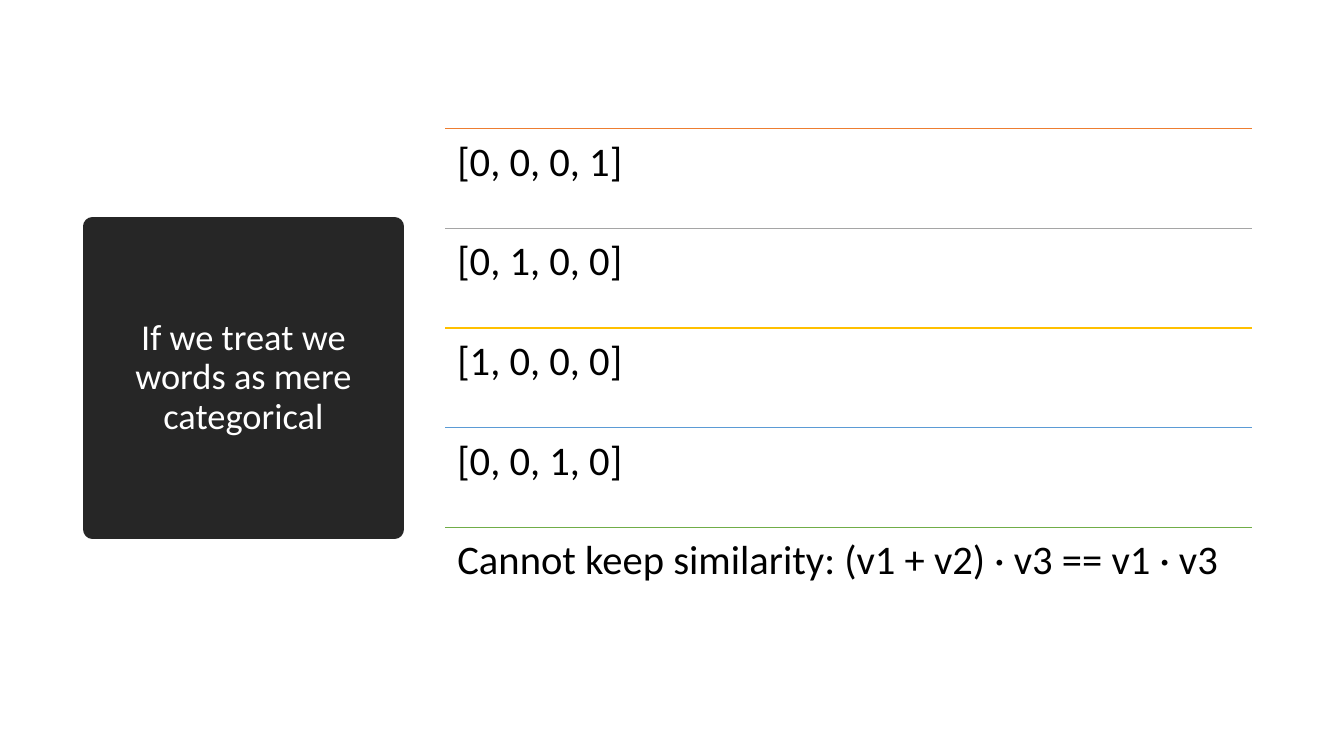
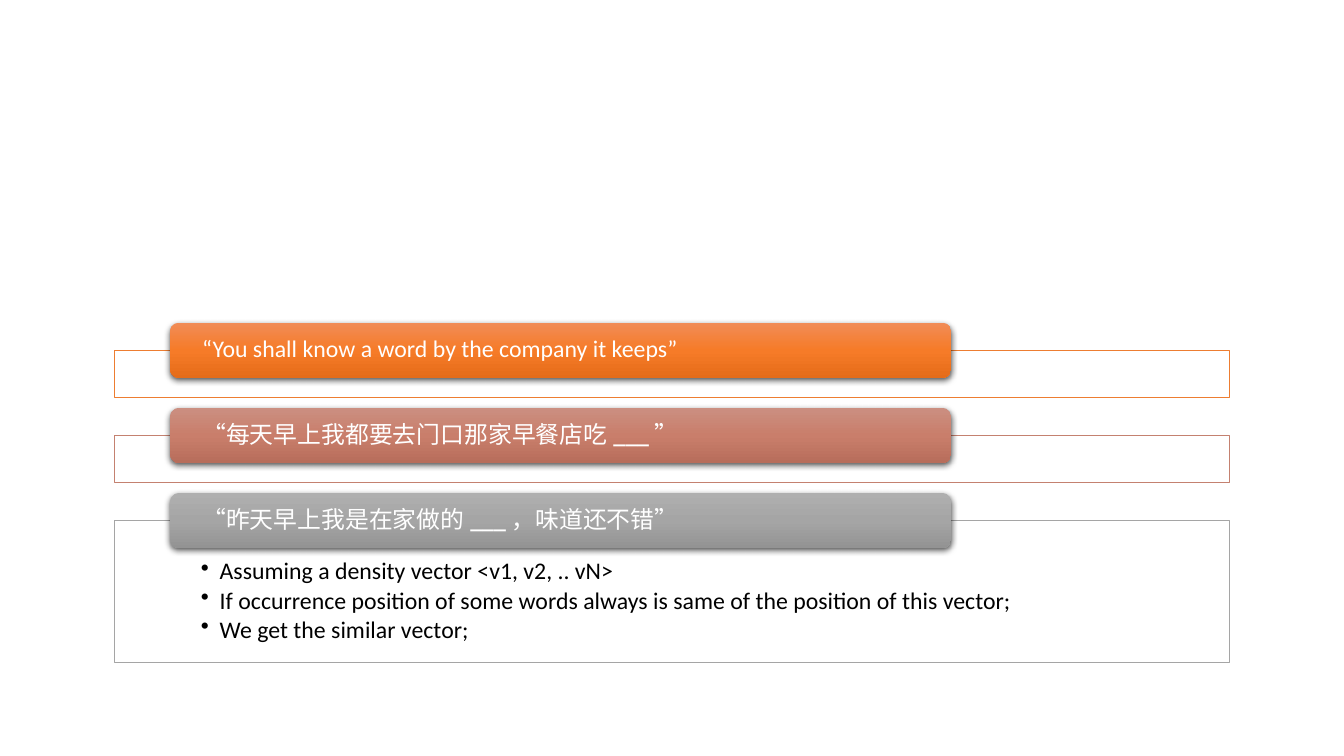
"""Build two slides on word vectors: one-hot categories and distributional similarity."""
from dataclasses import dataclass

from lxml import etree
from pptx import Presentation
from pptx.dml.color import RGBColor
from pptx.enum.shapes import MSO_CONNECTOR, MSO_SHAPE
from pptx.enum.text import MSO_ANCHOR, PP_ALIGN
from pptx.oxml.ns import qn
from pptx.util import Pt

RECTANGLE = MSO_SHAPE.RECTANGLE
ROUNDED = MSO_SHAPE.ROUNDED_RECTANGLE
STRAIGHT = MSO_CONNECTOR.STRAIGHT
TOP, MIDDLE = MSO_ANCHOR.TOP, MSO_ANCHOR.MIDDLE
LEFT, CENTER = PP_ALIGN.LEFT, PP_ALIGN.CENTER


@dataclass(frozen=True)
class Theme:
    font: str = "Calibri"
    white: str = "FFFFFF"
    black: str = "000000"
    panel: str = "262626"
    title_size: int = 26
    row_size: int = 29
    card_size: int = 17
    line_spacing: float = 0.9


THEME = Theme()
BLANK = "___"

TITLE = "If we treat we words as mere categorical"
ROWS = [
    ("[0, 0, 0, 1]", "ED7D31"),
    ("[0, 1, 0, 0]", "A5A5A5"),
    ("[1, 0, 0, 0]", "FFC000"),
    ("[0, 0, 1, 0]", "5B9BD5"),
    ("Cannot keep similarity: (v1 + v2) · v3 == v1 · v3", "70AD47"),
]
CARDS = [
    {
        "quote": ["“You shall know a word by the company it keeps”"],
        "outline": "ED7D31",
        "gradient": ("F18C57", "F67B28", "E56C19"),
        "points": [],
    },
    {
        "quote": ["“每天早上我都要去门口那家早餐店吃", BLANK, "”"],
        "outline": "C48170",
        "gradient": ("CB8F81", "C97E6B", "B76D5B"),
        "points": [],
    },
    {
        "quote": ["“昨天早上我是在家做的", BLANK, "，味道还不错”"],
        "outline": "A5A5A5",
        "gradient": ("AFAFAF", "A5A5A5", "939393"),
        "points": [
            ["Assuming a density vector <v1, v2, .. vN>"],
            ["If occurrence position of some words always is same of the position of this vector;"],
            ["We get the similar vector;"],
        ],
    },
]


def rgb(value):
    return RGBColor.from_string(value)


def add_xml(parent, tag, **attributes):
    return etree.SubElement(parent, qn(tag), attributes)


def write(shape, paragraphs, *, size, color, align=LEFT, anchor=TOP,
          insets=(7.2, 3.6, 7.2, 3.6), space_after=0, bullet=None):
    frame = shape.text_frame
    frame.word_wrap = True
    frame.vertical_anchor = anchor
    (frame.margin_left, frame.margin_top,
     frame.margin_right, frame.margin_bottom) = map(Pt, insets)
    for index, spans in enumerate(paragraphs):
        para = frame.add_paragraph() if index else frame.paragraphs[0]
        para.alignment = align
        para.line_spacing = THEME.line_spacing
        para.space_after = Pt(space_after)
        if bullet:
            para.level = 1
            properties = para._p.get_or_add_pPr()
            properties.set("marL", str(Pt(13.5)))
            properties.set("indent", str(-Pt(13.5)))
            add_xml(properties, "a:buChar", char=bullet)
        for text in spans:
            span = para.add_run()
            span.text = text
            span.font.name = THEME.font
            span.font.size = Pt(size)
            span.font.bold = text == BLANK
            span.font.color.rgb = rgb(color)


def add_box(slide, kind, bounds, *, fill, outline=None, width=0):
    box = slide.shapes.add_shape(kind, *map(Pt, bounds))
    box.shadow.inherit = False
    box.fill.solid()
    box.fill.fore_color.rgb = rgb(fill)
    if outline:
        box.line.color.rgb = rgb(outline)
        box.line.width = Pt(width)
    else:
        box.line.fill.background()
    return box


def add_rule(slide, left, top, width, color):
    rule = slide.shapes.add_connector(
        STRAIGHT, Pt(left), Pt(top), Pt(left + width), Pt(top))
    rule.line.color.rgb = rgb(color)
    rule.line.width = Pt(1)
    add_xml(rule._element.spPr, "a:effectLst")


def shade(box, colors):
    box.fill.gradient()
    box.fill.gradient_angle = 270
    stops = box._element.spPr.find(".//" + qn("a:gsLst"))
    for stop in list(stops):
        stops.remove(stop)
    for index, color in enumerate(colors):
        position = 100000 * index // (len(colors) - 1)
        stop = add_xml(stops, "a:gs", pos=str(position))
        add_xml(stop, "a:srgbClr", val=color)


def cast_shadow(box):
    effects = box._element.spPr.find(qn("a:effectLst"))
    shadow = add_xml(effects, "a:outerShdw", blurRad=str(Pt(4.5)), dist=str(Pt(1.5)),
                     dir="5400000", algn="ctr", rotWithShape="0")
    color = add_xml(shadow, "a:srgbClr", val=THEME.black)
    add_xml(color, "a:alpha", val="63000")


def build_categorical(slide):
    panel = add_box(slide, RECTANGLE, (66, 162, 216, 216),
                    fill=THEME.panel, outline=THEME.panel, width=13.75)
    add_xml(panel._element.spPr.find(qn("a:ln")), "a:round")
    write(panel, [[TITLE]], size=THEME.title_size, color=THEME.white,
          align=CENTER, anchor=MIDDLE)

    left, first_top, width, pitch = 318, 92, 576, 71.2
    for index, (text, color) in enumerate(ROWS):
        top = first_top + index * pitch
        add_rule(slide, left, top, width, color)
        row = slide.shapes.add_textbox(Pt(left), Pt(top), Pt(width), Pt(pitch))
        write(row, [[text]], size=THEME.row_size, color=THEME.black,
              insets=(8.7, 8.7, 8.7, 8.7))


def build_similarity(slide):
    first_top, pitch, overlap = 250, 60.8, 19.6
    for index, card in enumerate(CARDS):
        top = first_top + index * pitch
        height = 101.5 if card["points"] else 33.8
        body = add_box(slide, RECTANGLE, (81.5, top, 797, height),
                       fill=THEME.white, outline=card["outline"], width=0.5)
        if card["points"]:
            write(body, card["points"], size=THEME.card_size, color=THEME.black,
                  insets=(62, 28, 62, 9), space_after=2.5, bullet="•")
        header = add_box(slide, ROUNDED, (121.5, top - overlap, 558, 39.6),
                         fill=card["outline"])
        shade(header, card["gradient"])
        cast_shadow(header)
        write(header, [card["quote"]], size=THEME.card_size, color=THEME.white,
              anchor=MIDDLE, insets=(21, 0, 21, 0))


def main():
    deck = Presentation()
    deck.slide_width, deck.slide_height = Pt(960), Pt(540)
    for build in (build_categorical, build_similarity):
        build(deck.slides.add_slide(deck.slide_layouts[6]))
    deck.save("out.pptx")


if __name__ == "__main__":
    main()
